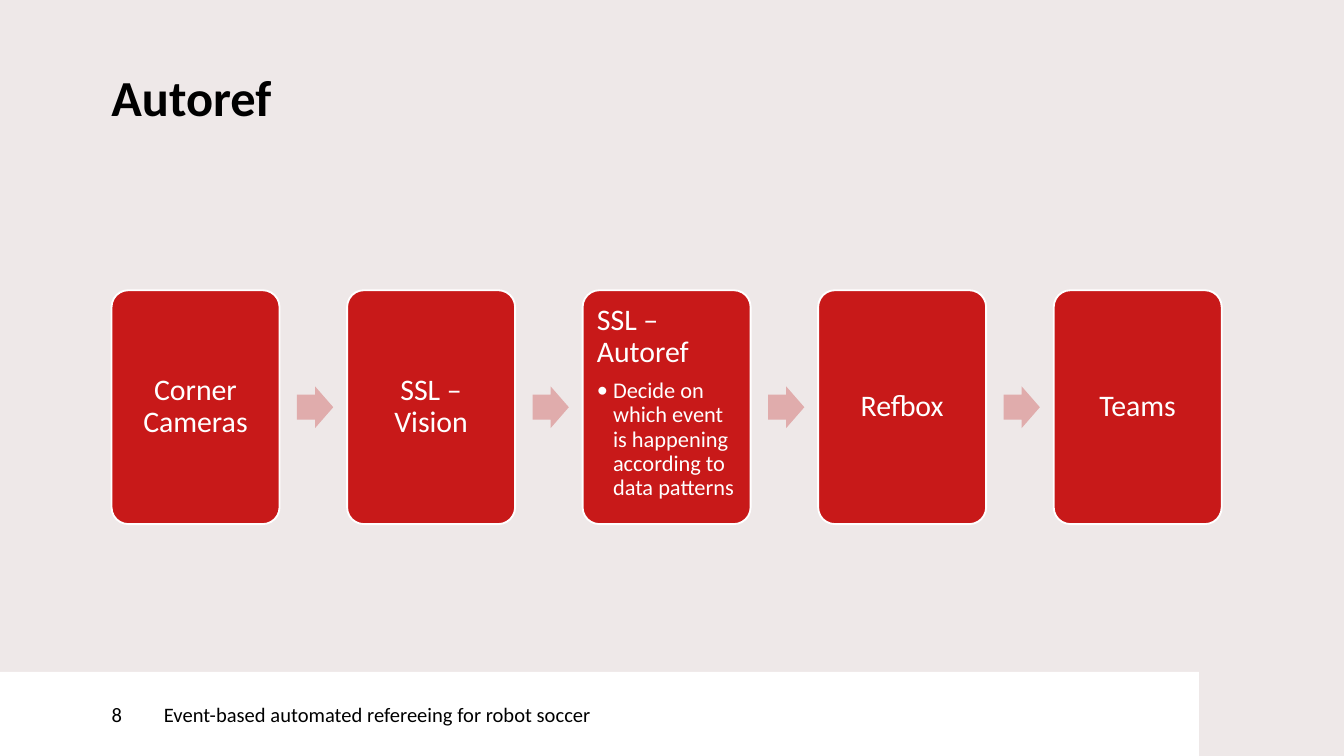
from lxml import etree
from pptx import Presentation
from pptx.dml.color import RGBColor
from pptx.enum.shapes import MSO_SHAPE
from pptx.enum.text import MSO_ANCHOR, PP_ALIGN
from pptx.oxml.ns import qn
from pptx.util import Inches, Pt

RECT, CARD, ARROW = MSO_SHAPE.RECTANGLE, MSO_SHAPE.ROUNDED_RECTANGLE, MSO_SHAPE.RIGHT_ARROW
TOP, MIDDLE = MSO_ANCHOR.TOP, MSO_ANCHOR.MIDDLE
LEFT, CENTER = PP_ALIGN.LEFT, PP_ALIGN.CENTER
COLORS = {"back": "EEE8E8", "card": "C81919", "arrow": "E0ACAC",
          "white": "FFFFFF", "black": "000000"}
RGB = {name: RGBColor.from_string(code) for name, code in COLORS.items()}

# Grid in inches: a 16:9 slide, equal columns between the margins
WIDTH = 10
HEIGHT = WIDTH * 9 / 16
MARGIN, SPAN = 0.83, 8.26
CARD_W, CARD_H, CARD_Y = 1.25, 1.74, 2.16
ARROW_W, ARROW_H, ARROW_X = 0.27, 0.31, 1.38
FOOT_X, FOOT_Y = 1.22, 5
FOOT_H = HEIGHT - FOOT_Y

deck = Presentation()
deck.slide_width, deck.slide_height = Inches(WIDTH), Inches(HEIGHT)
slide = deck.slides.add_slide(deck.slide_layouts[6])
slide.background.fill.solid()
slide.background.fill.fore_color.rgb = RGB["back"]


def draw(kind, x, y, w, h, fill):
    shape = slide.shapes.add_shape(kind, Inches(x), Inches(y), Inches(w), Inches(h))
    shape.shadow.inherit = False
    shape.fill.solid()
    shape.fill.fore_color.rgb = RGB[fill]
    shape.line.fill.background()
    return shape


def write(shape, text, sizes, color, insets, anchor=MIDDLE, align=LEFT, bold=False):
    """Fill a shape with text, one size for each paragraph."""
    frame = shape.text_frame
    frame.text = text
    frame.word_wrap = True
    frame.vertical_anchor = anchor
    (frame.margin_left, frame.margin_top,
     frame.margin_right, frame.margin_bottom) = map(Inches, insets)
    for para, size in zip(frame.paragraphs, sizes):
        para.alignment = align
        font = para.runs[0].font
        font.name, font.size, font.bold = "Calibri", Pt(size), bold
        font.color.rgb = RGB[color]
    return frame.paragraphs


title = slide.shapes.add_textbox(Inches(MARGIN), Inches(0.57), Inches(SPAN), Inches(0.59))
write(title, "Autoref", [27], "black", [0] * 4, TOP, bold=True)[0].line_spacing = Pt(27)

steps = ["Corner Cameras", "SSL – Vision",
         "SSL – Autoref\nDecide on which event is happening according to data patterns",
         "Refbox", "Teams"]
pitch = (SPAN - CARD_W) / (len(steps) - 1)
for col, text in enumerate(steps):
    x = MARGIN + col * pitch
    card = draw(CARD, x, CARD_Y, CARD_W, CARD_H, "card")
    card.adjustments[0] = 0.1
    card.line.color.rgb = RGB["white"]
    card.line.width = Pt(1)
    listed = "\n" in text
    paras = write(card, text, [16, 12], "white", [0.07] * 4,
                  TOP if listed else MIDDLE, LEFT if listed else CENTER)
    for para, after in zip(paras, [5.6, 1.8]):
        para.line_spacing = 0.9
        para.space_after = Pt(after)
    for para in paras[1:]:
        para.level = 1
        props = para._p.get_or_add_pPr()
        props.set("marL", str(Inches(0.12)))
        props.set("indent", str(-Inches(0.12)))
        etree.SubElement(props, qn("a:buFont"), typeface="Calibri")
        etree.SubElement(props, qn("a:buChar"), char="•")
    if col < len(steps) - 1:
        arrow = draw(ARROW, x + ARROW_X, CARD_Y + (CARD_H - ARROW_H) / 2,
                     ARROW_W, ARROW_H, "arrow")
        arrow.adjustments[0] = 0.6
        arrow.adjustments[1] = 0.5

footer = draw(RECT, FOOT_X, FOOT_Y, 7.7, FOOT_H, "white")
write(footer, "Event-based automated refereeing for robot soccer", [11], "black", [0] * 4)
number = draw(RECT, 0, FOOT_Y, FOOT_X, FOOT_H, "white")
write(number, "8", [11], "black", [MARGIN, 0, 0, 0])

deck.save("out.pptx")
